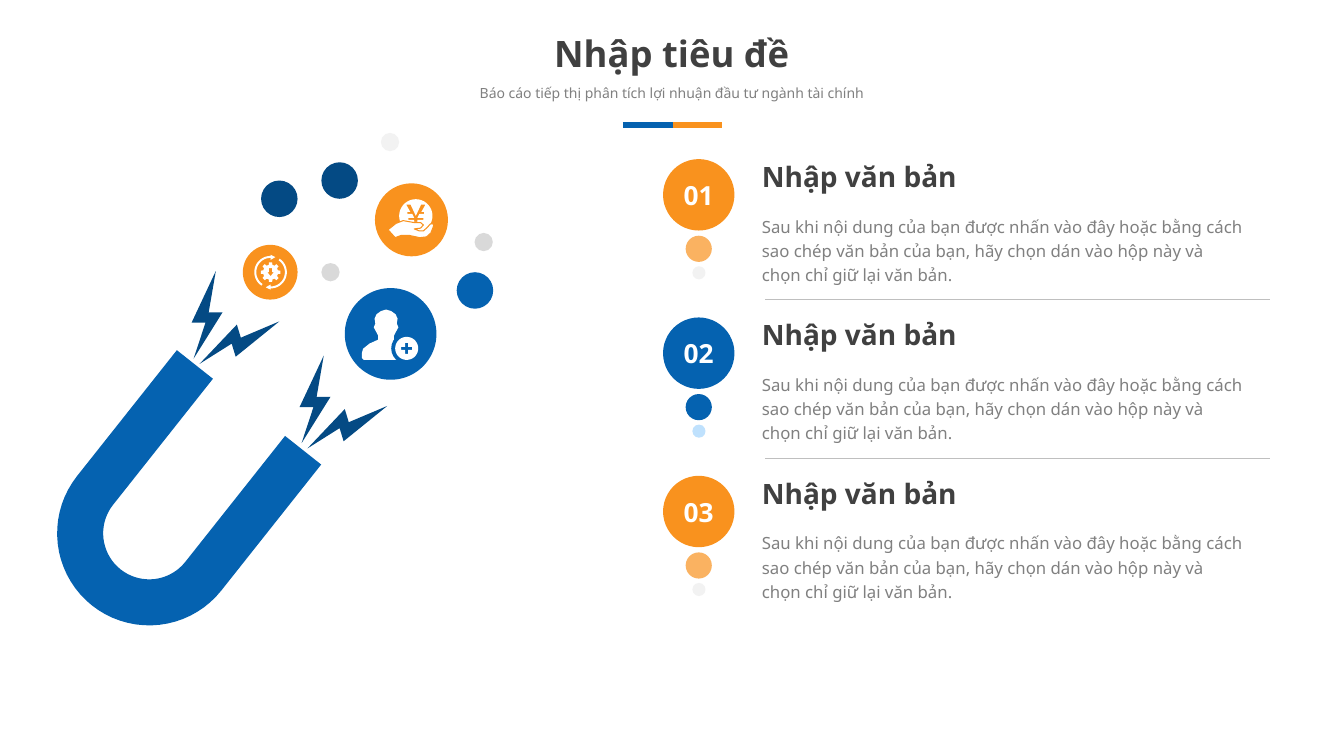
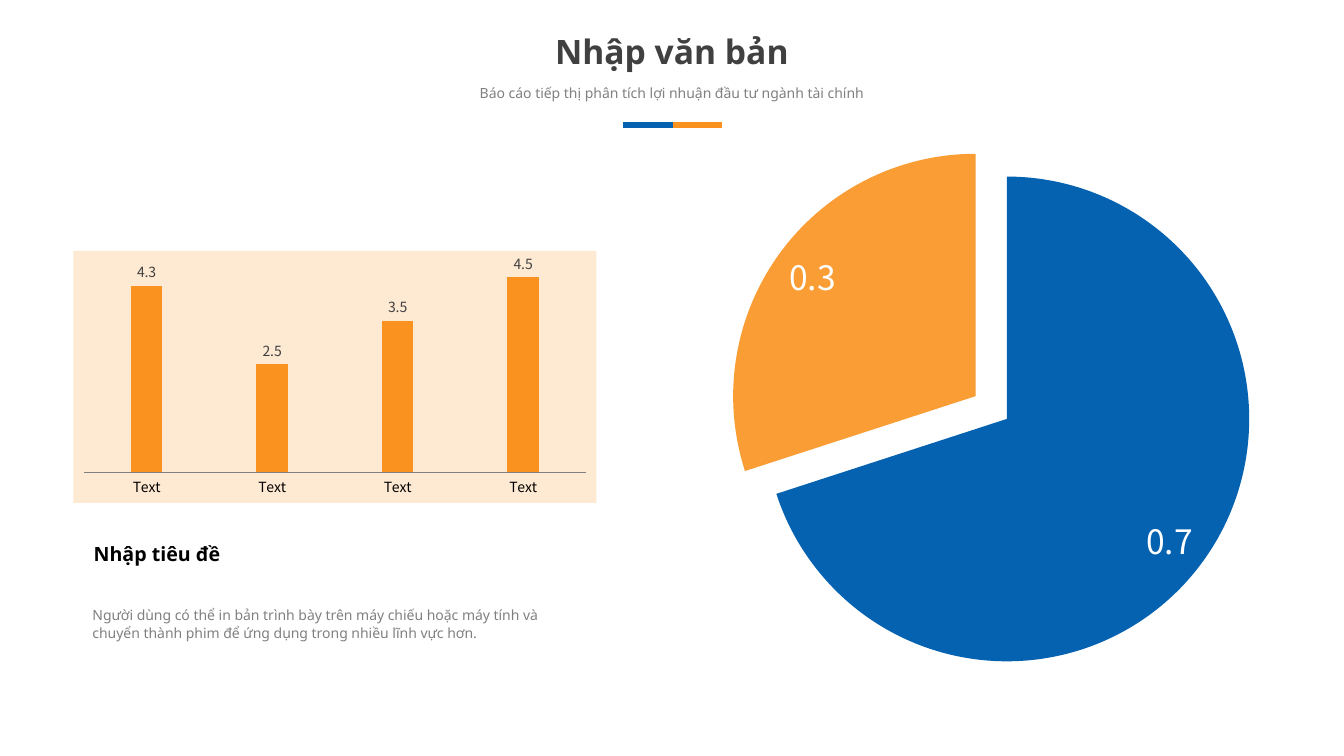
from math import cos, radians, sin

from pptx import Presentation
from pptx.chart.data import CategoryChartData
from pptx.dml.color import RGBColor
from pptx.enum.chart import XL_CHART_TYPE, XL_LABEL_POSITION, XL_TICK_MARK
from pptx.enum.shapes import MSO_CONNECTOR, MSO_SHAPE
from pptx.enum.text import MSO_ANCHOR, MSO_AUTO_SIZE, PP_ALIGN
from pptx.oxml import parse_xml
from pptx.oxml.ns import nsdecls, qn
from pptx.oxml.xmlchemy import OxmlElement
from pptx.util import Cm, Pt

BLUE = RGBColor(0x05, 0x62, 0xB0)
NAVY = RGBColor(0x04, 0x4A, 0x84)
SKY = RGBColor(0xBF, 0xE1, 0xFD)
ORANGE = RGBColor(0xF9, 0x92, 0x1E)
APRICOT = RGBColor(0xFA, 0x9D, 0x34)
CREAM = RGBColor(0xFE, 0xE9, 0xD2)
BLACK = RGBColor(0, 0, 0)
DARK = RGBColor(0x40, 0x40, 0x40)
GREY = RGBColor(0x80, 0x80, 0x80)
RULE = RGBColor(0xBF, 0xBF, 0xBF)
SILVER = RGBColor(0xD9, 0xD9, 0xD9)
PALE = RGBColor(0xF2, 0xF2, 0xF2)
WHITE = RGBColor(0xFF, 0xFF, 0xFF)

TEXT_FONT = "Noto Sans"
CHART_FONT = "Noto Sans CJK SC"
SUBTITLE = "Báo cáo tiếp thị phân tích lợi nhuận đầu tư ngành tài chính"


def arc(radius, start, end, steps=36):
    """Points on an arc around (0, 0); degrees run clockwise from the right."""
    angles = [radians(start + (end - start) * i / steps) for i in range(steps + 1)]
    return [(radius * cos(a), radius * sin(a)) for a in angles]


def mirrored(right_half):
    """Close a right half with its reflection in the vertical axis."""
    return right_half + [(-x, y) for x, y in reversed(right_half)]


def turned(points, degrees):
    c, s = cos(radians(degrees)), sin(radians(degrees))
    return [(x * c - y * s, x * s + y * c) for x, y in points]


class Deck:
    """Holds the shared style and the slide being built; positions are in cm."""

    def __init__(self):
        self.presentation = Presentation()
        self.presentation.slide_width = Cm(33.87)
        self.presentation.slide_height = Cm(19.05)
        self.page = None

    def add_page(self, title, title_size):
        self.page = self.presentation.slides.add_slide(self.presentation.slide_layouts[5])
        box = self.page.shapes.title
        box.left, box.top, box.width, box.height = Cm(10.93), Cm(0.66), Cm(12), Cm(1.37)
        self.set_text(box, title, title_size, DARK, bold=True, align=PP_ALIGN.CENTER)
        self.text(SUBTITLE, 9.2, 2, 15.46, 0.7, 10, GREY, align=PP_ALIGN.CENTER)
        self.line(15.7, 16.95, 3.15, BLUE, 4.5)
        self.line(16.95, 18.2, 3.15, ORANGE, 4.5)

    def set_text(self, box, content, size, color, bold=False, align=PP_ALIGN.LEFT,
                 spacing=None, anchor=MSO_ANCHOR.TOP):
        frame = box.text_frame
        frame.text = content
        frame.word_wrap = True
        frame.auto_size = MSO_AUTO_SIZE.NONE
        frame.vertical_anchor = anchor
        paragraph = frame.paragraphs[0]
        paragraph.alignment = align
        if spacing:
            paragraph.line_spacing = spacing
        for span in paragraph.runs:
            self.style_font(span.font, size, color, TEXT_FONT)
            span.font.bold = bold

    def style_font(self, font, size, color, name):
        font.size = Pt(size)
        font.name = name
        font.color.rgb = color

    def text(self, content, left, top, width, height, size, color, **style):
        box = self.page.shapes.add_textbox(Cm(left), Cm(top), Cm(width), Cm(height))
        self.set_text(box, content, size, color, **style)
        return box

    def line(self, left, right, y, color, weight):
        connector = self.page.shapes.add_connector(
            MSO_CONNECTOR.STRAIGHT, Cm(left), Cm(y), Cm(right), Cm(y))
        connector.line.color.rgb = color
        connector.line.width = Pt(weight)
        connector._element.spPr.append(OxmlElement("a:effectLst"))

    def paint(self, shape, color):
        shape.shadow.inherit = False
        shape.fill.solid()
        shape.fill.fore_color.rgb = color
        shape.line.fill.background()

    def circle(self, left, top, diameter, color, opacity=100):
        shape = self.page.shapes.add_shape(
            MSO_SHAPE.OVAL, Cm(left), Cm(top), Cm(diameter), Cm(diameter))
        self.paint(shape, color)
        if opacity < 100:
            alpha = OxmlElement("a:alpha")
            alpha.set("val", str(opacity * 1000))
            shape._element.spPr.find(".//" + qn("a:srgbClr")).append(alpha)
        return shape

    def outline(self, contours, color, center=(0, 0)):
        """Fill closed contours given around center; an inner contour is a hole."""
        builder = None
        for contour in contours:
            points = [(Cm(center[0] + x), Cm(center[1] + y)) for x, y in contour]
            if builder is None:
                builder = self.page.shapes.build_freeform(*points[0], scale=1.0)
            else:
                builder.move_to(*points[0])
            builder.add_line_segments(points[1:], close=True)
        shape = builder.convert_to_shape()
        self.paint(shape, color)
        return shape

    def chart(self, kind, categories, values, place, layout):
        """Add a one-series chart; layout is the plot's share of the frame."""
        data = CategoryChartData()
        data.categories = categories
        data.add_series("Series 1", values)
        frame = self.page.shapes.add_chart(kind, *[Cm(n) for n in place], data)
        chart = frame.chart
        chart.has_legend = False
        chart.has_title = False
        self.style_font(chart.font, 10, BLACK, CHART_FONT)
        plot_area = chart._chartSpace.find(".//" + qn("c:plotArea"))
        for old in plot_area.findall(qn("c:layout")):
            plot_area.remove(old)
        sizes = "".join(f'<c:{key} val="{share}"/>' for key, share in zip("xywh", layout))
        plot_area.insert(0, parse_xml(
            f'<c:layout {nsdecls("c")}><c:manualLayout><c:layoutTarget val="inner"/>'
            f'<c:xMode val="edge"/><c:yMode val="edge"/>{sizes}</c:manualLayout></c:layout>'))
        return chart

    def value_labels(self, plot, size, color, position):
        plot.has_data_labels = True
        labels = plot.data_labels
        labels.show_value = True
        labels.show_percentage = False
        labels.position = position
        self.style_font(labels.font, size, color, CHART_FONT)


def draw_magnet(deck):
    arm, outer, inner, tilt = 4.05, 2.32, 1.16, 38.4
    bend = ([(outer, -arm)] + arc(outer, 0, 180) + [(-outer, -arm), (-inner, -arm)]
            + arc(inner, 180, 0) + [(inner, -arm)])
    deck.outline([turned(bend, tilt)], BLUE, (3.76, 13.44))
    bolts = [
        [(5.44, 6.83), (4.83, 8.13), (5.18, 8.13), (4.88, 9.04), (5.61, 7.87), (5.26, 7.87)],
        [(7.04, 8.1), (6.07, 8.51), (5.97, 8.18), (5.03, 9.17), (5.84, 8.66), (5.94, 8.99)],
    ]
    for offset in ((0, 0), (2.72, 2.13)):
        deck.outline(bolts, NAVY, offset)


def draw_gear_icon(deck):
    tooth = [(-9, 0.25), (9, 0.25), (14, 0.19), (31, 0.19)]
    gear = [(r * cos(radians(45 * k + a)), r * sin(radians(45 * k + a)))
            for k in range(8) for a, r in tooth]
    arrow = mirrored([(0.04, -0.1), (0.04, 0), (0.08, 0), (0, 0.1)])
    sweep = arc(0.41, 124, 270) + arc(0.36, 270, 124)
    head = [(0, -0.44), (0.12, -0.38), (0, -0.31)]
    contours = [gear, arrow]
    for degrees in (0, 180):
        contours += [turned(sweep, degrees), turned(head, degrees)]
    deck.outline(contours, WHITE, (6.82, 6.86))


def draw_coin_icon(deck):
    yen = mirrored([(0.04, 0.15), (0.04, 0.1), (0.19, 0.1), (0.19, 0.05), (0.04, 0.05),
                    (0.09, -0.05), (0.21, -0.05), (0.21, -0.1), (0.14, -0.1),
                    (0.24, -0.28), (0.13, -0.28), (0, 0)])
    deck.outline([arc(0.42, 0, 360), yen], WHITE, (10.48, 5.44))
    hand = [(9.96, 5.99), (10.12, 5.93), (10.3, 5.93), (10.58, 5.99), (10.75, 5.97),
            (10.86, 5.87), (10.93, 5.69), (10.92, 5.64), (10.85, 5.64), (10.76, 5.74),
            (10.67, 5.82), (10.57, 5.82), (10.44, 5.77), (10.6, 5.75), (10.67, 5.67),
            (10.6, 5.61), (10.44, 5.61), (10.16, 5.56), (9.98, 5.63), (9.78, 5.79)]
    shape = deck.outline([hand], WHITE)
    shape.line.color.rgb = ORANGE
    shape.line.width = Pt(0.75)


def draw_person_icon(deck):
    bust = mirrored([(0, 7.8), (0.13, 7.84), (0.24, 7.92), (0.29, 8.03), (0.27, 8.15),
                     (0.31, 8.25), (0.25, 8.36), (0.2, 8.46), (0.2, 8.56), (0.42, 8.66),
                     (0.58, 8.79), (0.61, 8.9), (0.61, 9.02), (0.56, 9.07)])
    deck.outline([bust], WHITE, (9.73, 0))
    deck.circle(9.86, 8.39, 0.78, BLUE)
    thin, long = 0.04, 0.14
    plus = mirrored([(thin, -long), (thin, -thin), (long, -thin),
                     (long, thin), (thin, thin), (thin, long)])
    deck.outline([arc(0.29, 0, 360), plus], WHITE, (10.25, 8.78))


def build_magnet_page(deck):
    deck.add_page("Nhập tiêu đề", 26)
    draw_magnet(deck)
    for bubble in [
        (8.1, 6.63, 0.46, SILVER), (11.96, 5.87, 0.46, SILVER), (11.51, 6.86, 0.92, BLUE),
        (6.58, 4.55, 0.92, NAVY), (9.6, 3.35, 0.46, PALE), (6.12, 6.17, 1.38, ORANGE),
        (8.69, 7.26, 2.31, BLUE), (9.45, 4.62, 1.84, ORANGE), (8.1, 4.09, 0.92, NAVY),
    ]:
        deck.circle(*bubble)
    draw_gear_icon(deck)
    draw_coin_icon(deck)
    draw_person_icon(deck)

    step = 3.99
    styles = [(ORANGE, 70, PALE), (BLUE, 100, SKY), (ORANGE, 70, PALE)]
    for index, (color, opacity, dot_color) in enumerate(styles):
        shift = index * step
        deck.text("Nhập văn bản", 18.95, 3.89 + shift, 9.8, 1.35, 20, DARK, bold=True)
        deck.text("Sau khi nội dung của bạn được nhấn vào đây hoặc bằng cách sao chép văn bản "
                  "của bạn, hãy chọn dán vào hộp này và chọn chỉ giữ lại văn bản.",
                  18.95, 5.23 + shift, 12.73, 2, 12, GREY, spacing=1.2)
        if index:
            deck.line(19.28, 32, 3.56 + shift, RULE, 0.25)
        badge = deck.circle(16.71, 4.01 + shift, 1.8, color)
        frame = badge.text_frame
        frame.margin_left = frame.margin_right = frame.margin_top = frame.margin_bottom = 0
        deck.set_text(badge, f"{index + 1:02}", 18.8, WHITE, bold=True,
                      align=PP_ALIGN.CENTER, anchor=MSO_ANCHOR.MIDDLE)
        deck.circle(17.28, 5.94 + shift, 0.66, color, opacity)
        deck.circle(17.45, 6.71 + shift, 0.33, dot_color)


def build_chart_page(deck):
    deck.add_page("Nhập văn bản", 24)

    pie = deck.chart(XL_CHART_TYPE.PIE, ["1", "2"], [0.7, 0.3],
                     (16.23, 2.95, 17.5, 14.5), (0.12, 0.05, 0.76, 0.91))
    plot = pie.plots[0]
    series = plot.series[0]
    explosion = OxmlElement("c:explosion")
    explosion.set("val", "8")
    series._element.find(qn("c:tx")).addnext(explosion)
    for index, color in enumerate((BLUE, APRICOT)):
        fill = series.points[index].format.fill
        fill.solid()
        fill.fore_color.rgb = color
    deck.value_labels(plot, 24, WHITE, XL_LABEL_POSITION.BEST_FIT)

    columns = deck.chart(XL_CHART_TYPE.COLUMN_CLUSTERED, ["Text"] * 4, [4.3, 2.5, 3.5, 4.5],
                         (1.85, 6.32, 13.18, 6.35), (0.02, 0.02, 0.96, 0.86))
    columns._chartSpace.find(qn("c:chart")).addnext(parse_xml(
        f'<c:spPr {nsdecls("c", "a")}><a:solidFill><a:srgbClr val="{CREAM}"/></a:solidFill>'
        '<a:ln><a:noFill/></a:ln></c:spPr>'))
    plot = columns.plots[0]
    plot.gap_width = 300
    plot.overlap = -27
    plot.vary_by_categories = False
    fill = plot.series[0].format.fill
    fill.solid()
    fill.fore_color.rgb = ORANGE
    deck.value_labels(plot, 10, DARK, XL_LABEL_POSITION.OUTSIDE_END)
    columns.value_axis.minimum_scale = 0
    columns.value_axis.maximum_scale = 5
    columns.value_axis.has_major_gridlines = False
    columns.value_axis.visible = False
    axis = columns.category_axis
    axis.major_tick_mark = XL_TICK_MARK.NONE
    axis.format.line.color.rgb = GREY
    axis.format.line.width = Pt(0.75)

    heading = deck.text("Nhập tiêu đề", 1.85, 13.54, 12.04, 1.65, 14, BLACK, bold=True)
    heading.text_frame.margin_left = heading.text_frame.margin_right = Cm(0.51)
    deck.text("Người dùng có thể in bản trình bày trên máy chiếu hoặc máy tính và chuyển "
              "thành phim để ứng dụng trong nhiều lĩnh vực hơn.",
              2.08, 15.11, 11.81, 1.24, 10, GREY, spacing=1.1)


def main():
    deck = Deck()
    build_magnet_page(deck)
    build_chart_page(deck)
    deck.presentation.save("out.pptx")


if __name__ == "__main__":
    main()
